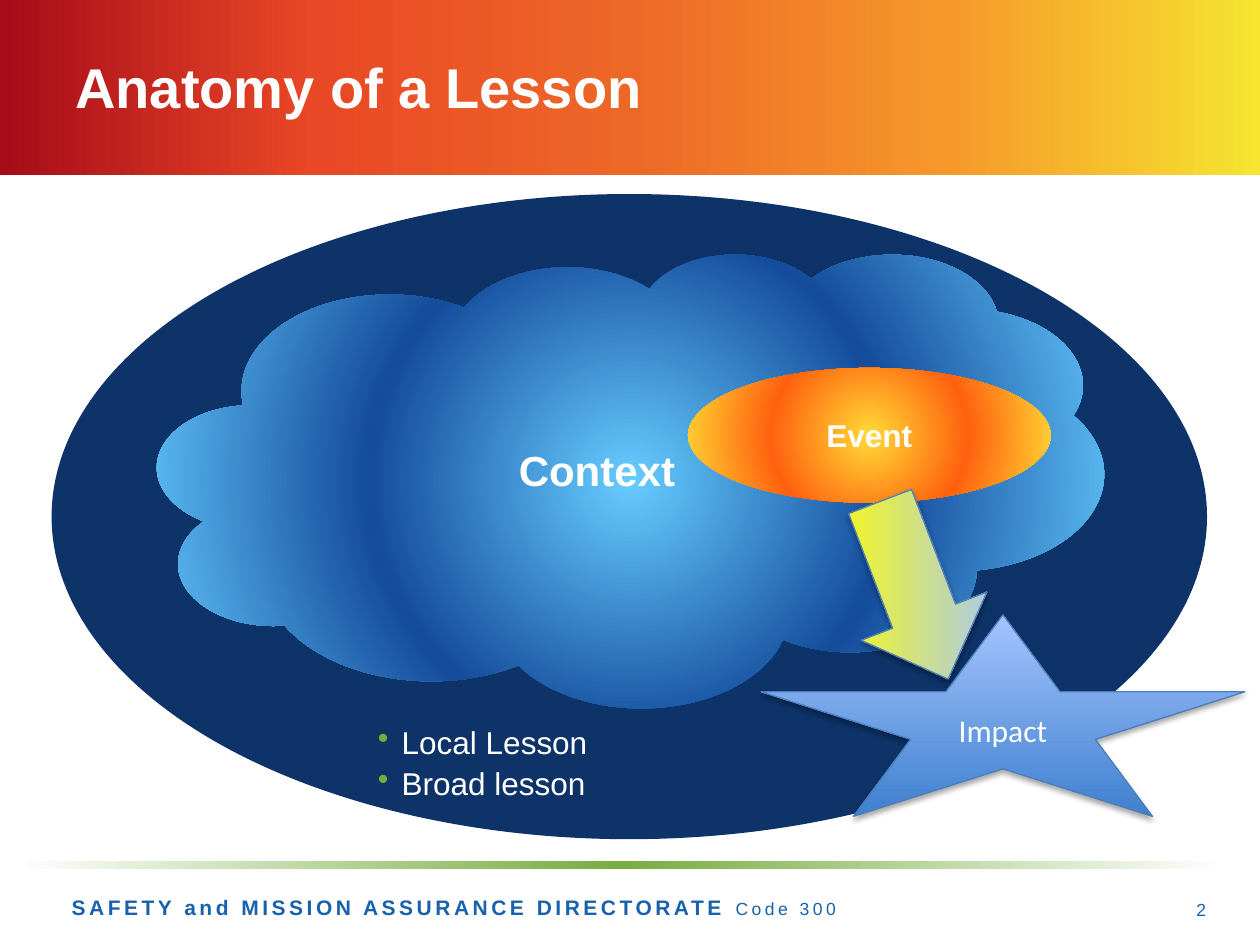
from dataclasses import dataclass
from typing import NamedTuple, Optional

from lxml import etree
from pptx import Presentation
from pptx.dml.color import RGBColor
from pptx.enum.shapes import MSO_SHAPE as Geom
from pptx.enum.text import MSO_ANCHOR as Anchor, PP_ALIGN as Align
from pptx.oxml import parse_xml
from pptx.oxml.ns import nsdecls, qn
from pptx.util import Inches, Pt


@dataclass(frozen=True)
class Theme:
    font: str = "Arial"
    alt: str = "Calibri"
    white: str = "FFFFFF"
    navy: str = "0D3369"
    blue: str = "1861AC"
    green: str = "77AD3F"
    edge: str = "4B7EBC"
    title: int = 32
    large: int = 24
    body: int = 18
    foot: int = 12
    small: int = 10


T = Theme()


class Grad(NamedTuple):
    stops: list[tuple[int, str]]
    angle: int = 0
    radial: bool = False
    turn: bool = True


class Style(NamedTuple):
    size: int
    bold: bool = False
    color: str = T.white
    font: str = T.font
    track: int = 0


class Label(NamedTuple):
    text: str
    style: Style


@dataclass
class Figure:
    geom: Geom
    box: tuple[float, float, float, float]
    fill: str | Grad
    label: Optional[Label] = None
    raised: bool = False
    turn: float = 0


def blend(shape, grad: Grad) -> None:
    """Give the shape a linear or radial gradient fill."""
    stops = "".join(f'<a:gs pos="{pos * 1000}"><a:srgbClr val="{color}"/></a:gs>'
                    for pos, color in grad.stops)
    if grad.radial:
        way = ('<a:path path="circle"><a:fillToRect l="50000" t="50000" '
               'r="50000" b="50000"/></a:path>')
    else:
        way = f'<a:lin ang="{grad.angle * 60000}" scaled="0"/>'
    fill = parse_xml(f'<a:gradFill {nsdecls("a")} rotWithShape="{int(grad.turn)}">'
                     f'<a:gsLst>{stops}</a:gsLst>{way}</a:gradFill>')
    shape.fill.background()
    props = shape._element.spPr
    props.replace(props.find(qn("a:noFill")), fill)


def lift(shape) -> None:
    """Add a thin edge and a soft shadow below the shape."""
    shape.line.color.rgb = RGBColor.from_string(T.edge)
    shape.line.width = Pt(0.75)
    shade = parse_xml(f'<a:outerShdw {nsdecls("a")} blurRad="{Pt(3.1)}" dist="{Pt(1.8)}" '
                      'dir="5400000" rotWithShape="0"><a:srgbClr val="000000">'
                      '<a:alpha val="35000"/></a:srgbClr></a:outerShdw>')
    shape._element.spPr.find(qn("a:effectLst")).append(shade)


def format_run(run, style: Style) -> None:
    font = run.font
    font.name, font.size, font.bold = style.font, Pt(style.size), style.bold
    font.color.rgb = RGBColor.from_string(style.color)
    if style.track:
        run._r.get_or_add_rPr().set("spc", str(style.track * 100))


def draw(slide, fig: Figure) -> None:
    shape = slide.shapes.add_shape(fig.geom, *map(Inches, fig.box))
    shape.shadow.inherit = False
    shape.rotation = fig.turn
    if isinstance(fig.fill, Grad):
        blend(shape, fig.fill)
    else:
        shape.fill.solid()
        shape.fill.fore_color.rgb = RGBColor.from_string(fig.fill)
    if fig.raised:
        lift(shape)
    else:
        shape.line.fill.background()
    if fig.label:
        frame = shape.text_frame
        frame.text = fig.label.text
        frame.vertical_anchor = Anchor.MIDDLE
        para = frame.paragraphs[0]
        para.alignment = Align.CENTER
        format_run(para.runs[0], fig.label.style)


def write(slide, box: tuple[float, float, float, float], labels: list[Label],
          anchor: Anchor = Anchor.TOP, align: Align = Align.LEFT):
    """Write the labels as runs of one line and return the text frame."""
    frame = slide.shapes.add_textbox(*map(Inches, box)).text_frame
    frame.word_wrap = True
    frame.vertical_anchor = anchor
    para = frame.paragraphs[0]
    para.alignment = align
    for label in labels:
        run = para.add_run()
        run.text = label.text
        format_run(run, label.style)
    return frame


def bullets(slide, box: tuple[float, float, float, float],
            items: list[str], style: Style) -> None:
    frame = write(slide, box, [])
    frame.text = "\n".join(items)
    for num, para in enumerate(frame.paragraphs):
        props = para._p.get_or_add_pPr()
        props.set("marL", str(Inches(0.19)))
        props.set("indent", str(-Inches(0.19)))
        tint = etree.SubElement(props, qn("a:buClr"))
        etree.SubElement(tint, qn("a:srgbClr"), val=T.green)
        etree.SubElement(props, qn("a:buChar"), char="•")
        para.line_spacing = 0.9
        if num:
            para.space_before = Pt(4)
        format_run(para.runs[0], style)


BANNER = Grad([(0, "A60B19"), (25, "E94826"), (50, "ED6827"),
               (75, "F6982A"), (100, "F6E431")])
RULE = Grad([(0, T.white), (50, T.green), (100, T.white)])
SKY = Grad([(0, "66CCFF"), (50, "154C9C"), (100, "66CCFF")], radial=True)
FIRE = Grad([(0, "FFDA36"), (51, "FF610E"), (100, "FFDA36")], radial=True)
STEEL = Grad([(0, "3F80CE"), (100, "A4C4FF")], angle=270)
LIME = Grad([(0, "FFFF00"), (100, "A4C4FF")], turn=False)

BACK = [
    Figure(Geom.RECTANGLE, (0, 0, 10, 1.39), BANNER),
    Figure(Geom.RECTANGLE, (0.12, 6.83, 9.61, 0.07), RULE),
    Figure(Geom.OVAL, (0.41, 1.54, 9.17, 5.12), T.navy),
    Figure(Geom.CLOUD, (1.25, 2.01, 7.51, 3.6), SKY,
           Label("Context", Style(T.large, True))),
]
FRONT = [
    Figure(Geom.OVAL, (5.46, 2.92, 2.88, 1.07), FIRE,
           Label("Event", Style(T.body, True))),
    Figure(Geom.STAR_5_POINT, (6.04, 4.88, 3.84, 1.6), STEEL,
           Label("Impact", Style(T.body, font=T.alt)), raised=True),
    Figure(Geom.RIGHT_ARROW, (6.5, 4.15, 1.51, 1.07), LIME, raised=True, turn=69),
]


def main() -> None:
    deck = Presentation()
    deck.slide_width, deck.slide_height = Inches(10), Inches(7.5)
    slide = deck.slides.add_slide(deck.slide_layouts[6])

    for fig in BACK:
        draw(slide, fig)
    bullets(slide, (2.9, 5.72, 2.56, 0.96), ["Local Lesson", "Broad lesson"],
            Style(T.body))
    title = write(slide, (0.5, 0.13, 9, 1.17),
                  [Label("Anatomy of a Lesson", Style(T.title, True))], Anchor.MIDDLE)
    title.paragraphs[0].line_spacing = 0.9
    write(slide, (0.47, 7.05, 8.25, 0.3), [
        Label("SAFETY and MISSION ASSURANCE DIRECTORATE ",
              Style(T.foot, True, T.blue, track=2)),
        Label("Code 300", Style(T.small, color=T.blue, track=2)),
    ])
    write(slide, (9.24, 7.02, 0.43, 0.4), [Label("2", Style(T.small, color=T.blue))],
          Anchor.MIDDLE, Align.RIGHT)
    for fig in FRONT:
        draw(slide, fig)

    deck.save("out.pptx")


if __name__ == "__main__":
    main()
